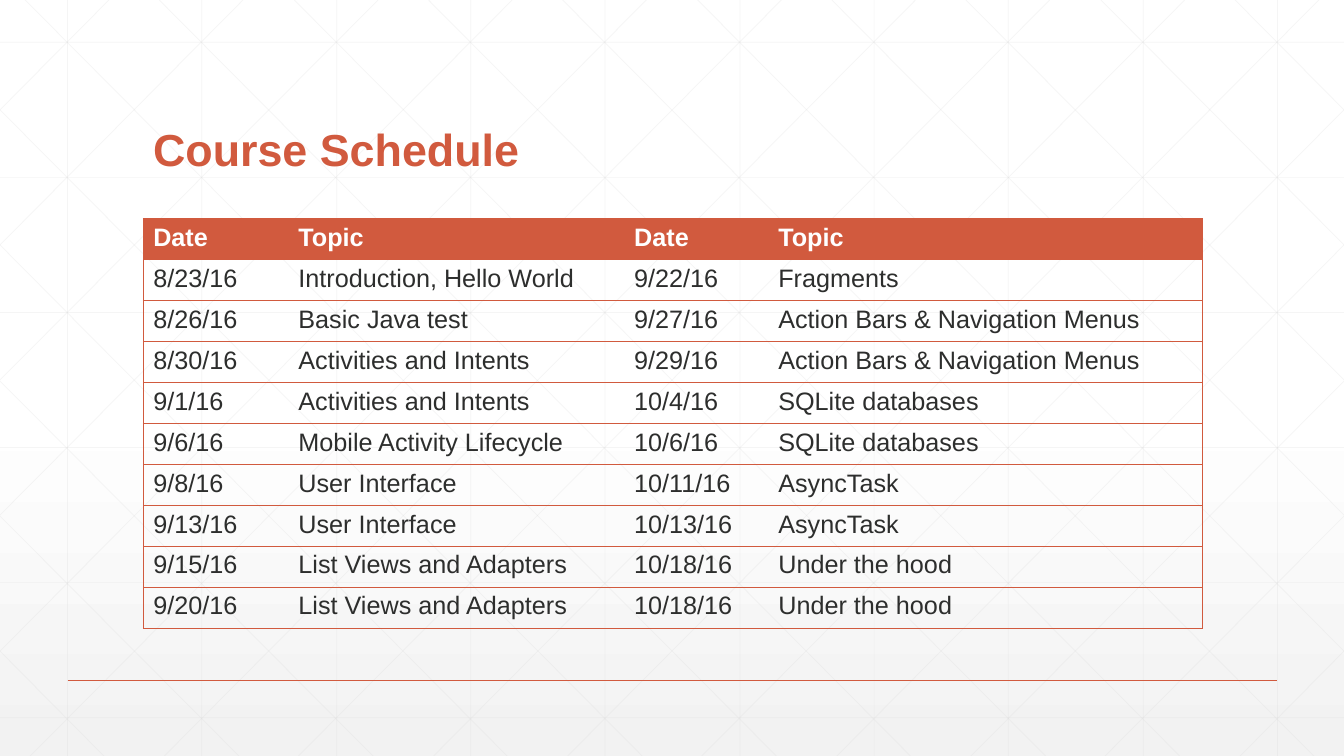
"""Build the course schedule slide: faint line grid, title and timetable."""
from pptx import Presentation
from pptx.dml.color import RGBColor
from pptx.enum.shapes import MSO_CONNECTOR
from pptx.enum.text import MSO_ANCHOR
from pptx.oxml import parse_xml
from pptx.oxml.ns import nsdecls, qn
from pptx.util import Pt
from lxml.etree import SubElement

TITLE = "Course Schedule"
SCHEDULE = [
    ("Date", "Topic", "Date", "Topic"),
    ("8/23/16", "Introduction, Hello World", "9/22/16", "Fragments"),
    ("8/26/16", "Basic Java test", "9/27/16", "Action Bars & Navigation Menus"),
    ("8/30/16", "Activities and Intents", "9/29/16", "Action Bars & Navigation Menus"),
    ("9/1/16", "Activities and Intents", "10/4/16", "SQLite databases"),
    ("9/6/16", "Mobile Activity Lifecycle", "10/6/16", "SQLite databases"),
    ("9/8/16", "User Interface", "10/11/16", "AsyncTask"),
    ("9/13/16", "User Interface", "10/13/16", "AsyncTask"),
    ("9/15/16", "List Views and Adapters", "10/18/16", "Under the hood"),
    ("9/20/16", "List Views and Adapters", "10/18/16", "Under the hood"),
]
COLUMN_WIDTHS = (144, 333, 143, 431)
GRADIENT = ((0, "FFFFFF"), (53, "FFFFFF"), (100, "F2F2F2"))

PX = 9144
WIDTH, HEIGHT = 1333, 750
LEFT, CONTENT_WIDTH = 142, 1050
TITLE_TOP, TITLE_HEIGHT = 55, 125
TABLE_TOP, TABLE_HEIGHT = 217, 406
GRID_STEP = 400 / 3
DIAGONAL_RUN = 745
PLAIN_STYLE = "{2D5ABB26-0587-4C30-8999-92F81FD0307C}"
FONT = "Arial"
ORANGE = RGBColor(0xD1, 0x5A, 0x3E)
INK = RGBColor(0x2D, 0x2E, 0x2D)
WHITE = RGBColor(0xFF, 0xFF, 0xFF)
GRID = RGBColor(0xD9, 0xD9, 0xD9)


def paint_background(page):
    fill = page.background.fill
    fill.gradient()
    fill.gradient_angle = 270
    stops = "".join(
        f'<a:gs pos="{place * 1000}"><a:srgbClr val="{color}"/></a:gs>'
        for place, color in GRADIENT)
    old = next(page._element.iter(qn("a:gsLst")))
    old.getparent().replace(
        old, parse_xml(f'<a:gsLst {nsdecls("a")}>{stops}</a:gsLst>'))


def add_line(page, start, end, color, weight, opacity=100):
    ends = [round(value) * PX for value in (*start, *end)]
    line = page.shapes.add_connector(MSO_CONNECTOR.STRAIGHT, *ends)
    line.line.color.rgb = color
    line.line.width = Pt(weight)
    properties = line._element.spPr
    if opacity < 100:
        shade = next(properties.iter(qn("a:srgbClr")))
        SubElement(shade, qn("a:alpha"), val=str(opacity * 1000))
    SubElement(properties, qn("a:effectLst"))


def grid_lines():
    for column in range(10):
        x = 67 + column * GRID_STEP
        yield (x, 0), (x, HEIGHT)
    for row in range(6):
        y = 42 + row * 134
        yield (0, y), (WIDTH, y)
    slope = HEIGHT / DIAGONAL_RUN
    for step in range(-5, 10):
        top_x = 25 + step * GRID_STEP
        x1, x2 = max(0, top_x), min(WIDTH, top_x + DIAGONAL_RUN)
        y1, y2 = (x1 - top_x) * slope, (x2 - top_x) * slope
        yield (x1, y1), (x2, y2)
        yield (WIDTH - x1, y1), (WIDTH - x2, y2)


def style_text(frame, size, color, bold):
    for para in frame.paragraphs:
        for span in para.runs:
            span.font.name = FONT
            span.font.size = Pt(size)
            span.font.color.rgb = color
            span.font.bold = bold


def add_title(page):
    box = page.shapes.add_textbox(
        LEFT * PX, TITLE_TOP * PX, CONTENT_WIDTH * PX, TITLE_HEIGHT * PX)
    frame = box.text_frame
    frame.word_wrap = True
    frame.vertical_anchor = MSO_ANCHOR.BOTTOM
    frame.text = TITLE
    frame.paragraphs[0].line_spacing = 0.9
    style_text(frame, 32, ORANGE, True)


def set_borders(cell, visible):
    properties = cell._tc.get_or_add_tcPr()
    for side in "LRTB":
        paint = (f'<a:solidFill><a:srgbClr val="{ORANGE}"/></a:solidFill>'
                 if side in visible else "<a:noFill/>")
        properties.append(parse_xml(
            f'<a:ln{side} {nsdecls("a")} w="{Pt(0.5)}">{paint}</a:ln{side}>'))


def add_schedule(page):
    last = len(COLUMN_WIDTHS) - 1
    holder = page.shapes.add_table(
        len(SCHEDULE), len(COLUMN_WIDTHS), LEFT * PX, TABLE_TOP * PX,
        sum(COLUMN_WIDTHS) * PX, TABLE_HEIGHT * PX)
    table = holder.table
    table.horz_banding = False
    next(holder._element.iter(qn("a:tableStyleId"))).text = PLAIN_STYLE
    for column, width in zip(table.columns, COLUMN_WIDTHS):
        column.width = width * PX
    for r, texts in enumerate(SCHEDULE):
        for c, text in enumerate(texts):
            cell = table.cell(r, c)
            cell.text = text
            style_text(cell.text_frame, 18, INK if r else WHITE, r == 0)
            set_borders(cell, "TB" + "L" * (c == 0) + "R" * (c == last))
            if r:
                cell.fill.background()
            else:
                cell.fill.solid()
                cell.fill.fore_color.rgb = ORANGE


def main():
    deck = Presentation()
    deck.slide_width, deck.slide_height = WIDTH * PX, HEIGHT * PX
    page = deck.slides.add_slide(deck.slide_layouts[6])
    paint_background(page)
    for start, end in grid_lines():
        add_line(page, start, end, GRID, 0.5, 25)
    add_line(page, (67, 675), (1267, 675), ORANGE, 1)
    add_title(page)
    add_schedule(page)
    deck.save("out.pptx")


if __name__ == "__main__":
    main()
